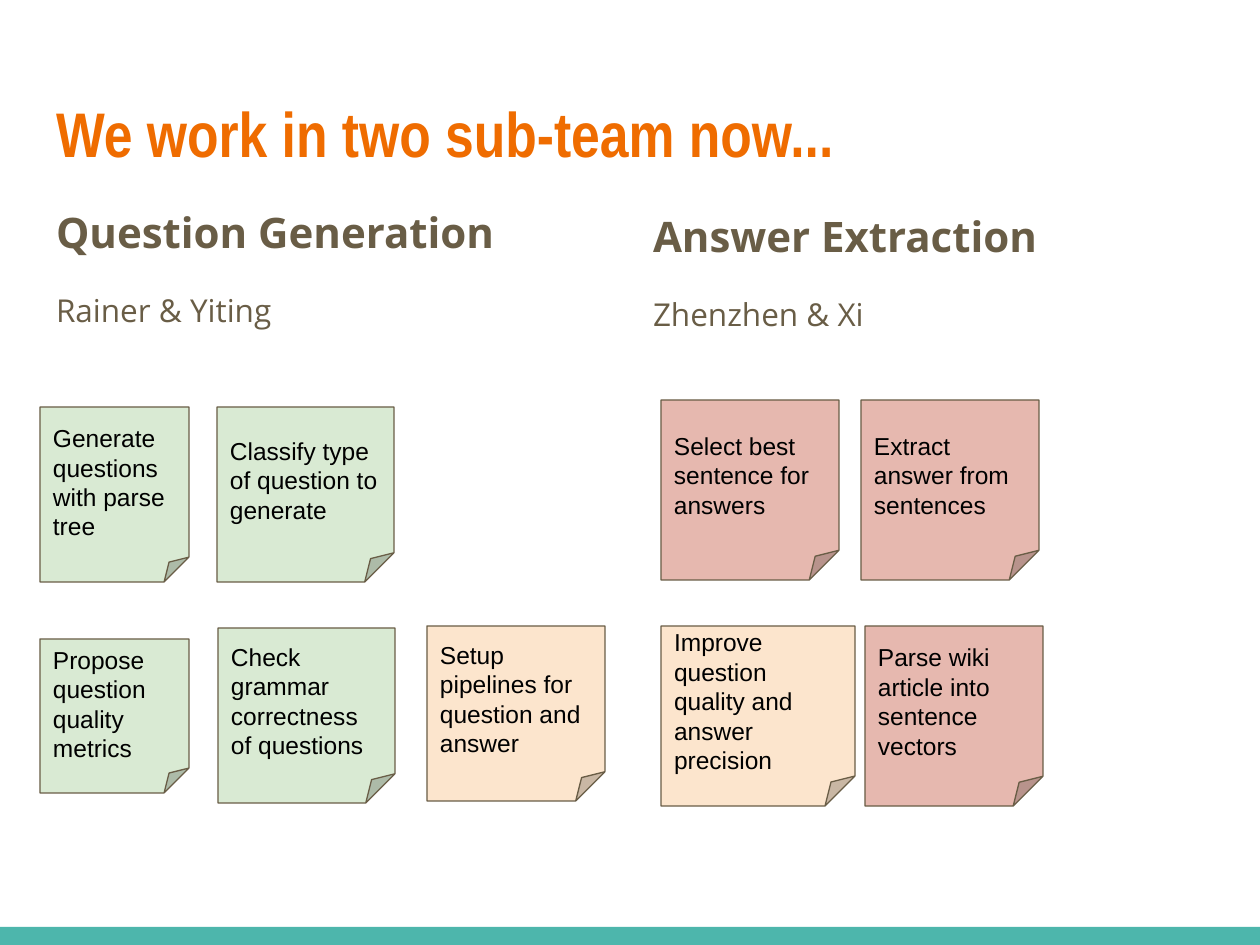
from pptx import Presentation
from pptx.dml.color import RGBColor
from pptx.enum.shapes import MSO_SHAPE as Shape
from pptx.enum.text import MSO_ANCHOR as Anchor, PP_ALIGN as Align
from pptx.util import Emu, Pt

PX_PER_INCH = 126
EMU_PER_PX = 914400 / PX_PER_INCH
INSET = 13

ORANGE = RGBColor(0xEF, 0x6C, 0x00)
BROWN = RGBColor(0x69, 0x5D, 0x46)
TEAL = RGBColor(0x4D, 0xB6, 0xAC)
GREEN = RGBColor(0xD9, 0xEA, 0xD3)
PEACH = RGBColor(0xFC, 0xE5, 0xCD)
PINK = RGBColor(0xE6, 0xB8, 0xAF)
BLACK = RGBColor(0x00, 0x00, 0x00)

# left, top, width, height, fill, text
NOTES = [
    (40, 407, 149, 175, GREEN, "Generate questions with parse tree"),
    (217, 407, 177, 175, GREEN, "Classify type of question to generate"),
    (40, 639, 149, 154, GREEN, "Propose question quality metrics"),
    (218, 628, 177, 175, GREEN, "Check grammar correctness of questions"),
    (427, 626, 178, 175, PEACH, "Setup pipelines for question and answer"),
    (661, 400, 178, 180, PINK, "Select best sentence for answers"),
    (861, 400, 178, 180, PINK, "Extract answer from sentences"),
    (661, 626, 194, 180, PEACH, "Improve question quality and answer precision"),
    (865, 626, 178, 180, PINK, "Parse wiki article into sentence vectors"),
]


def px(length):
    return Emu(round(length * EMU_PER_PX))


def place(box):
    return [px(length) for length in box]


def set_frame(shape, anchor):
    frame = shape.text_frame
    frame.word_wrap = True
    frame.vertical_anchor = anchor
    frame.margin_left = frame.margin_right = px(INSET)
    frame.margin_top = frame.margin_bottom = px(INSET)
    return frame


def add_run(paragraph, text, font, size, color, bold=False):
    paragraph.alignment = Align.LEFT
    run = paragraph.add_run()
    run.text = text
    run.font.name = font
    run.font.size = Pt(size)
    run.font.bold = bold
    run.font.color.rgb = color


def add_filled_shape(slide, kind, box, fill):
    shape = slide.shapes.add_shape(kind, *place(box))
    shape.shadow.inherit = False
    shape.fill.solid()
    shape.fill.fore_color.rgb = fill
    return shape


def add_title(slide, box, text):
    title = slide.shapes.title
    title.left, title.top, title.width, title.height = place(box)
    frame = set_frame(title, Anchor.TOP)
    add_run(frame.paragraphs[0], text, "Arial Narrow", 36, ORANGE, bold=True)


def add_team(slide, box, name, members):
    frame = set_frame(slide.shapes.add_textbox(*place(box)), Anchor.TOP)
    heading, people = frame.paragraphs[0], frame.add_paragraph()
    for paragraph in (heading, people):
        paragraph.line_spacing = 1.15
        paragraph.space_after = Pt(16)
    add_run(heading, name, "Open Sans", 24, BROWN, bold=True)
    add_run(people, members, "Open Sans", 18, BROWN)


def add_note(slide, box, fill, text):
    note = add_filled_shape(slide, Shape.FOLDED_CORNER, box, fill)
    note.line.color.rgb = BROWN
    note.line.width = Pt(0.75)
    frame = set_frame(note, Anchor.MIDDLE)
    add_run(frame.paragraphs[0], text, "Arial", 14, BLACK)


def main():
    presentation = Presentation()
    presentation.slide_width, presentation.slide_height = place((1260, 945))
    slide = presentation.slides.add_slide(presentation.slide_layouts[5])

    bar = add_filled_shape(slide, Shape.RECTANGLE, (0, 927, 1260, 18), TEAL)
    bar.line.fill.background()
    add_title(slide, (43, 82, 1174, 130), "We work in two sub-team now...")
    add_team(slide, (43, 186, 523, 212), "Question Generation", "Rainer & Yiting")
    add_team(slide, (640, 190, 523, 149), "Answer Extraction", "Zhenzhen & Xi")
    for *box, fill, text in NOTES:
        add_note(slide, box, fill, text)

    presentation.save("out.pptx")


if __name__ == "__main__":
    main()
